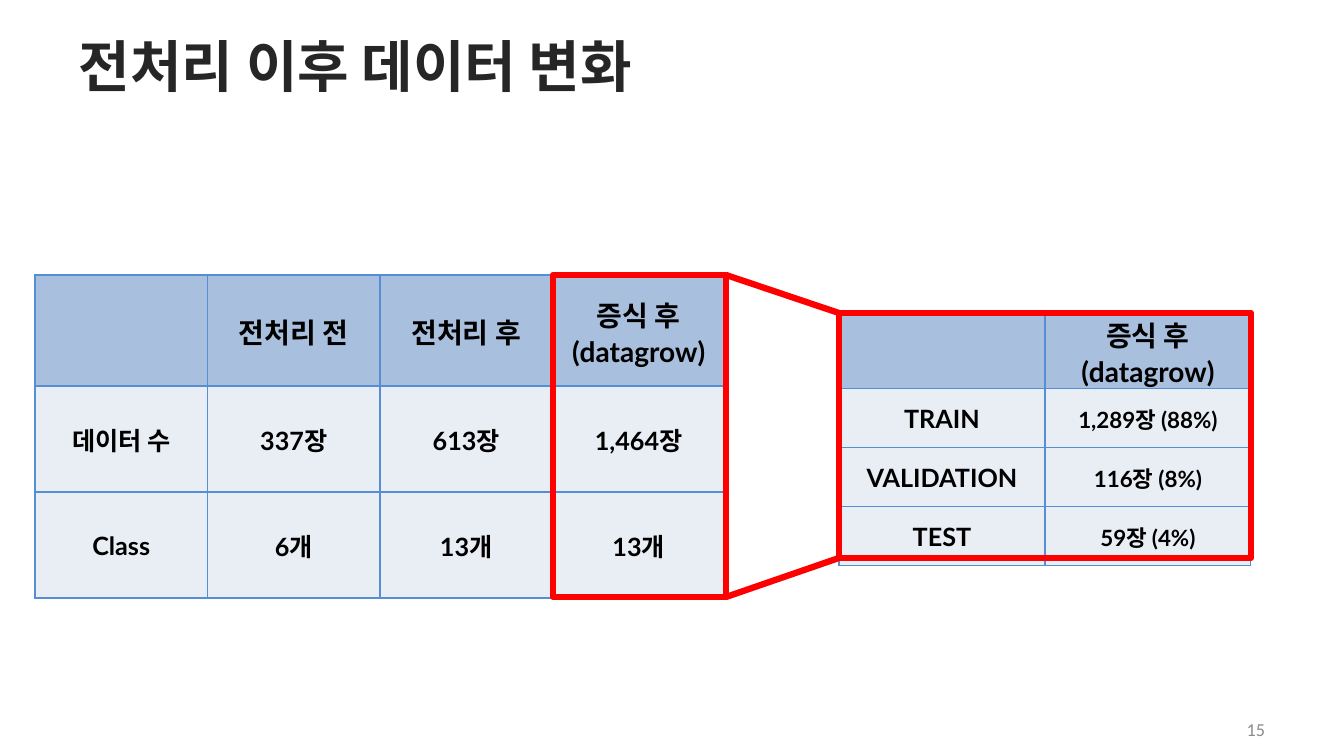
"""Build the slide on how preprocessing changed the data."""
from lxml.etree import SubElement
from pptx import Presentation
from pptx.dml.color import RGBColor
from pptx.enum.shapes import MSO_CONNECTOR as CONN, MSO_SHAPE as SHAPE
from pptx.enum.text import MSO_ANCHOR as ANCHOR, MSO_AUTO_SIZE as AUTO, PP_ALIGN as ALIGN
from pptx.oxml.ns import qn
from pptx.util import Pt

PX = 914400 / 100.8
COLORS = {"title": "262626", "number": "8C8C8C", "text": "000000", "head": "A8BFDD",
          "body": "E9EDF4", "border": "558ED5", "mark": "FF0000"}
KOREAN = "Noto Sans CJK KR"
TITLE = ("전처리 이후 데이터 변화", (68, 21, 1210, 88),
         {"size": Pt(40), "name": KOREAN, "bold": True}, "title", ALIGN.LEFT)
NUMBER = ("15", (963, 717, 313, 24),
          {"size": Pt(13), "name": "Calibri"}, "number", ALIGN.RIGHT)
TABLES = [
    {"box": (35, 275, 690, 323), "heights": (111, 106, 106), "sizes": (18, 18, 18, 18),
     "rows": [("", "전처리 전", "전처리 후", "증식 후(datagrow)"),
              ("데이터 수", "337장", "613장", "1,464장"),
              ("Class", "6개", "13개", "13개")]},
    {"box": (839, 313, 412, 245), "heights": (61, 59, 59, 59), "sizes": (18, 16),
     "rows": [("", "증식 후(datagrow)"),
              ("TRAIN", "1,289장 (88%)"),
              ("VALIDATION", "116장 (8%)"),
              ("TEST", "59장 (4%)")]},
]
SOURCE_BOX = (553, 275, 173, 322)
DETAIL_BOX = (839, 313, 412, 245)


def emu(*lengths):
    return [round(n * PX) for n in lengths]


def rgb(name):
    return RGBColor.from_string(COLORS[name])


def write(tf, text, font, color, align):
    p = tf.paragraphs[0]
    p.alignment = align
    r = p.add_run()
    r.text = text
    for key, value in font.items():
        setattr(r.font, key, value)
    r.font.color.rgb = rgb(color)
    SubElement(r.font._element, qn("a:ea"), typeface=KOREAN)


def fill_box(sp, text, box, font, color, align):
    sp.left, sp.top, sp.width, sp.height = emu(*box)
    tf = sp.text_frame
    margins = dict(zip(("margin_left", "margin_top", "margin_right", "margin_bottom"),
                       emu(11, 5, 11, 5)))
    for key, value in {"word_wrap": True, "auto_size": AUTO.NONE,
                       "vertical_anchor": ANCHOR.MIDDLE, **margins}.items():
        setattr(tf, key, value)
    write(tf, text, font, color, align)


def style_cell(cell, fill):
    margin = emu(1)[0]
    for key, value in {"margin_left": margin, "margin_top": margin, "margin_right": margin,
                       "margin_bottom": 0, "vertical_anchor": ANCHOR.MIDDLE}.items():
        setattr(cell, key, value)
    tc_pr = cell._tc.get_or_add_tcPr()
    for side in "LRTB":
        ln = SubElement(tc_pr, qn(f"a:ln{side}"), w=str(Pt(1)))
        SubElement(SubElement(ln, qn("a:solidFill")), qn("a:srgbClr"), val=COLORS["border"])
    cell.fill.solid()
    cell.fill.fore_color.rgb = rgb(fill)


def add_table(s, box, heights, sizes, rows):
    table = s.shapes.add_table(len(rows), len(sizes), *emu(*box)).table
    for column in table.columns:
        column.width = emu(box[2] / len(sizes))[0]
    for i, (height, row) in enumerate(zip(heights, rows)):
        table.rows[i].height = emu(height)[0]
        for j, text in enumerate(row):
            cell = table.cell(i, j)
            style_cell(cell, "body" if i else "head")
            if text:
                font = {"size": Pt(sizes[j] if i else 20), "name": "Lato", "bold": True}
                write(cell.text_frame, text, font, "text", ALIGN.CENTER)


def mark_line(sp):
    sp.line.color.rgb = rgb("mark")
    sp.line.width = Pt(4.5)


def add_marks(s):
    for box in (SOURCE_BOX, DETAIL_BOX):
        sp = s.shapes.add_shape(SHAPE.RECTANGLE, *emu(*box))
        sp.shadow.inherit = False
        sp.fill.background()
        mark_line(sp)
    left, top, width, height = SOURCE_BOX
    x, y, _, h = DETAIL_BOX
    for start, end in ((top, y), (top + height, y + h)):
        line = s.shapes.add_connector(CONN.STRAIGHT, *emu(left + width, start, x, end))
        mark_line(line)
        SubElement(line._element.spPr, qn("a:effectLst"))


def main():
    prs = Presentation()
    prs.slide_width, prs.slide_height = emu(1344, 756)
    s = prs.slides.add_slide(prs.slide_layouts[5])
    fill_box(s.shapes.title, *TITLE)
    fill_box(s.shapes.add_textbox(0, 0, 0, 0), *NUMBER)
    for table in TABLES:
        add_table(s, **table)
    add_marks(s)
    prs.save("out.pptx")


if __name__ == "__main__":
    main()
